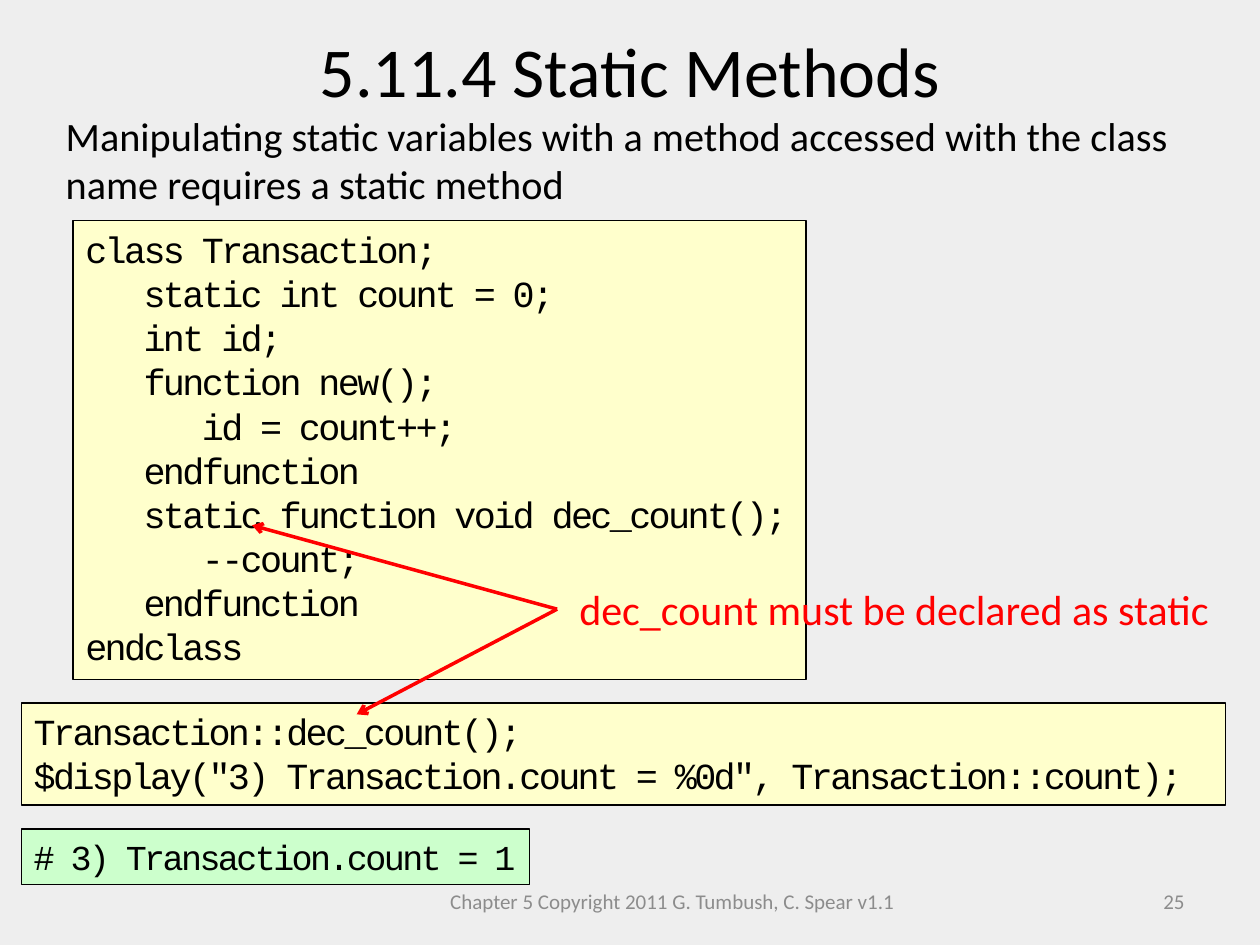
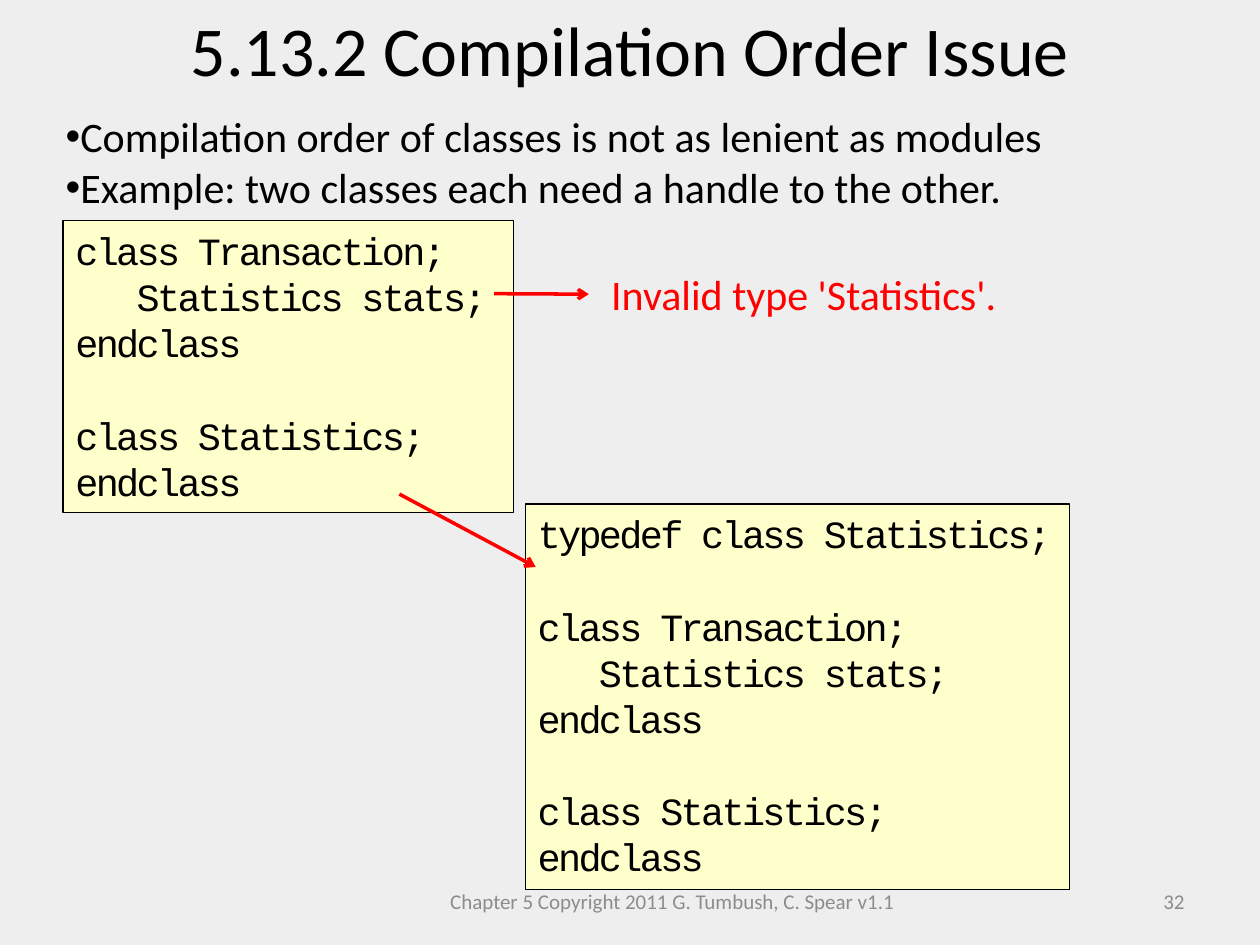
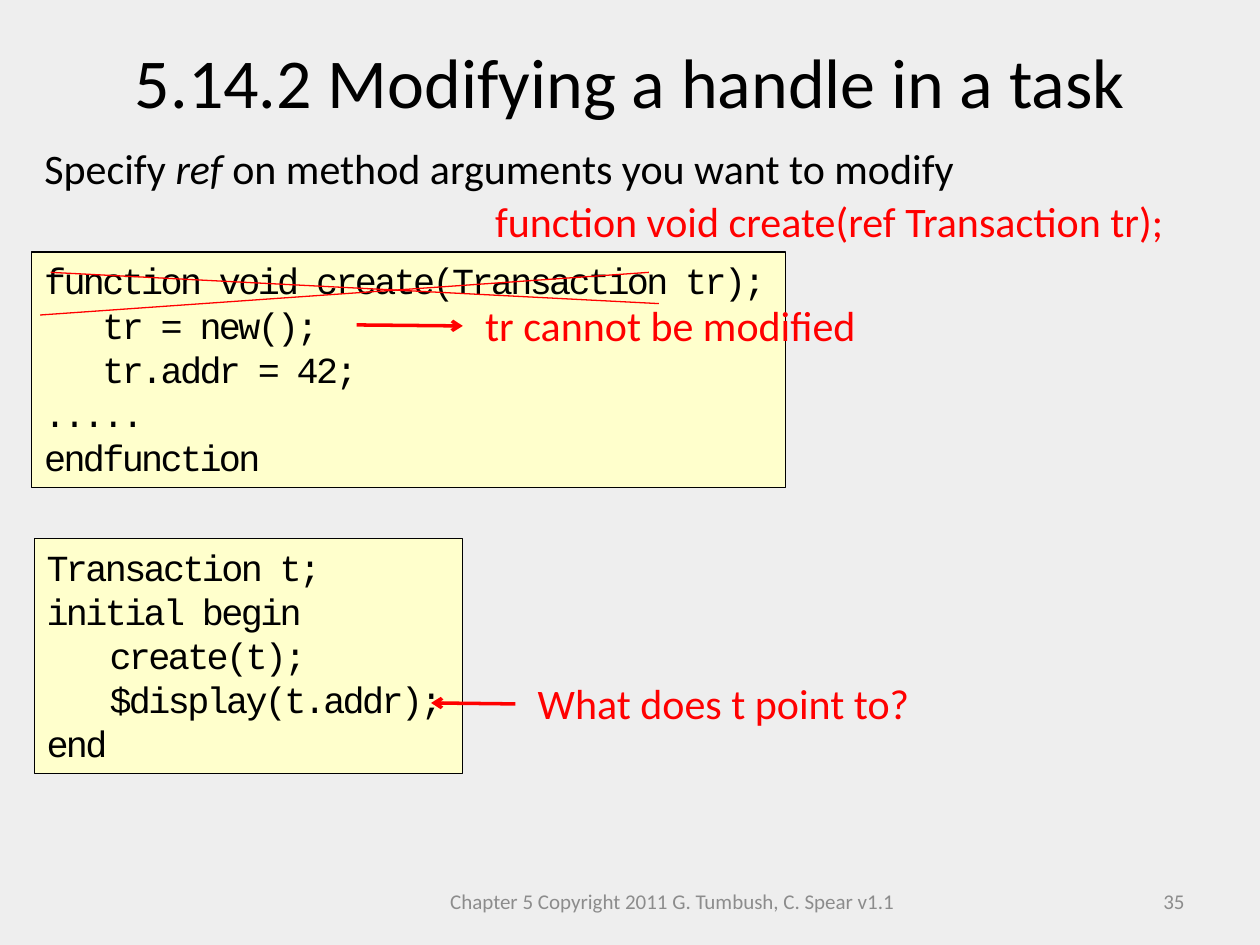
from lxml import etree
from pptx import Presentation
from pptx.dml.color import RGBColor
from pptx.enum.shapes import MSO_CONNECTOR, MSO_SHAPE
from pptx.enum.text import MSO_ANCHOR, MSO_AUTO_SIZE, PP_ALIGN
from pptx.oxml.ns import qn
from pptx.util import Cm, Pt

BACKGROUND = RGBColor(0xEE, 0xEE, 0xEE)
BLACK = RGBColor(0, 0, 0)
RED = RGBColor(0xFF, 0, 0)
GREY = RGBColor(0x8C, 0x8C, 0x8C)
CODE_YELLOW = RGBColor(0xFF, 0xFF, 0xCC)
OUTPUT_GREEN = RGBColor(0xCC, 0xFF, 0xCC)

TEXT_FONT = "Calibri"
CODE_FONT = "Courier New"
RECTANGLE = MSO_SHAPE.RECTANGLE
STRAIGHT = MSO_CONNECTOR.STRAIGHT
TOP, MIDDLE = MSO_ANCHOR.TOP, MSO_ANCHOR.MIDDLE
LEFT, CENTER, RIGHT = PP_ALIGN.LEFT, PP_ALIGN.CENTER, PP_ALIGN.RIGHT
NO_AUTOSIZE = MSO_AUTO_SIZE.NONE

TITLE_HEIGHT = 1.96
FOOTER_BOX = (8.69, 17.65, 9.73, 1.02)
NUMBER_BOX = (18.21, 17.65, 5.92, 1.02)
FOOTER_TEXT = "Chapter 5 Copyright 2011 G. Tumbush, C. Spear v1.1"

TRANSACTION_CLASS = """class Transaction;
   static int count = 0;
   int id;
   function new();
      id = count++;
   endfunction
   static function void dec_count();
      --count;
   endfunction
endclass"""

COUNT_CALLS = """Transaction::dec_count();
$display("3) Transaction.count = %0d", Transaction::count);"""

CLASS_PAIR = """class Transaction;
   Statistics stats;
endclass

class Statistics;
endclass"""

CREATE_FUNCTION = """function void create(Transaction tr);
   tr = new();
   tr.addr = 42;
.....
endfunction"""

CREATE_CALLER = """Transaction t;
initial begin
\tcreate(t);
\t$display(t.addr);
end"""


def to_cm(numbers):
    """Turn plain numbers into centimetre lengths."""
    return [Cm(number) for number in numbers]


def place(shape, box):
    """Move a placeholder to a box."""
    shape.left, shape.top, shape.width, shape.height = to_cm(box)


def style(para, size, color, name=TEXT_FONT, align=LEFT):
    """Format a whole paragraph."""
    para.alignment = align
    para.space_before = Pt(0)
    para.font.size = Pt(size)
    para.font.name = name
    para.font.color.rgb = color


def set_frame(frame, anchor=TOP, wrap=True):
    """Fix the anchor and wrapping of a text frame."""
    frame.auto_size = NO_AUTOSIZE
    frame.vertical_anchor = anchor
    frame.word_wrap = wrap


def add_text(page, box, text, size, color, align=LEFT, anchor=TOP, wrap=True):
    """Add a text box with one paragraph."""
    frame = page.shapes.add_textbox(*to_cm(box)).text_frame
    set_frame(frame, anchor, wrap)
    frame.text = text
    style(frame.paragraphs[0], size, color, align=align)


def add_body(body, box, lines, size, bullet):
    """Fill the body placeholder; text between asterisks is italic."""
    place(body, box)
    frame = body.text_frame
    set_frame(frame)
    for index, line in enumerate(lines):
        para = frame.paragraphs[0] if index == 0 else frame.add_paragraph()
        properties = para._p.get_or_add_pPr()
        properties.set("marL", "0")
        properties.set("indent", "0")
        if bullet:
            etree.SubElement(properties, qn("a:buFont"), typeface="Arial")
            etree.SubElement(properties, qn("a:buChar"), char="•")
        else:
            etree.SubElement(properties, qn("a:buNone"))
        for position, piece in enumerate(line.split("*")):
            span = para.add_run()
            span.text = piece
            if position % 2:
                span.font.italic = True
        style(para, size, BLACK)


def add_page(deck, number, title, title_top, body_box, lines, size=24, bullet=False):
    """Start a slide with its title, body text and footer."""
    page = deck.slides.add_slide(deck.slide_layouts[1])
    heading, body = page.placeholders
    place(heading, (0, title_top, 25.4, TITLE_HEIGHT))
    set_frame(heading.text_frame)
    heading.text_frame.text = title
    style(heading.text_frame.paragraphs[0], 40, BLACK, align=CENTER)
    add_body(body, body_box, lines, size, bullet)
    add_text(page, FOOTER_BOX, FOOTER_TEXT, 12, GREY, CENTER, MIDDLE)
    add_text(page, NUMBER_BOX, str(number), 12, GREY, RIGHT, MIDDLE)
    return page


def add_code(page, box, code, size=21, fill=CODE_YELLOW):
    """Add a framed listing; a leading tab indents its line."""
    panel = page.shapes.add_shape(RECTANGLE, *to_cm(box))
    panel.shadow.inherit = False
    panel.fill.solid()
    panel.fill.fore_color.rgb = fill
    panel.line.color.rgb = BLACK
    panel.line.width = Pt(0.75)
    frame = panel.text_frame
    set_frame(frame)
    for index, line in enumerate(code.split("\n")):
        para = frame.paragraphs[0] if index == 0 else frame.add_paragraph()
        para.text = line.lstrip("\t")
        properties = para._p.get_or_add_pPr()
        if line.startswith("\t"):
            properties.set("marL", str(Cm(1.27)))
            properties.set("indent", "0")
        style(para, size, BLACK, CODE_FONT)
        properties.find(qn("a:defRPr")).set("spc", "-150")


def add_line(page, start, end, width=2, arrow=True):
    """Draw a red line, with an arrowhead at its end if wanted."""
    line = page.shapes.add_connector(STRAIGHT, *to_cm(start + end))
    line.line.color.rgb = RED
    line.line.width = Pt(width)
    if arrow:
        etree.SubElement(line.line._get_or_add_ln(), qn("a:tailEnd"), type="arrow")
    etree.SubElement(line._element.spPr, qn("a:effectLst"))


def add_callout(page, box, text, code_points=(), toward_label=False):
    """Add a red remark and join its left side to points in the code."""
    add_text(page, box, text, 24, RED, wrap=False)
    label_point = (box[0] - 0.2, box[1] + 0.65)
    for point in code_points:
        if toward_label:
            add_line(page, point, label_point)
        else:
            add_line(page, label_point, point)


def cross_out_first_line(page, box):
    """Cross out the first line of the listing in a box."""
    left, top = box[:2]
    for start, end in [((0.38, 0.41), (12.64, 1.04)), ((0.17, 1.27), (12.44, 0.41))]:
        add_line(page, (left + start[0], top + start[1]),
                 (left + end[0], top + end[1]), 0.75, arrow=False)


def build_static_methods(deck):
    """Build the slide on static methods."""
    page = add_page(
        deck, 25, "5.11.4 Static Methods", 0.43, (1.07, 2.11, 24.33, 2.24),
        ["Manipulating static variables with a method accessed with the class "
         "name requires a static method"], size=23)
    add_code(page, (0.43, 16.71, 10.24, 1.12), "# 3) Transaction.count = 1", 20, OUTPUT_GREEN)
    add_code(page, (1.47, 4.45, 14.78, 9.25), TRANSACTION_CLASS)
    add_code(page, (0.43, 14.17, 24.28, 2.06), COUNT_CALLS)
    add_callout(page, (11.43, 11.63, 13.34, 1.27), "dec_count must be declared as static",
                [(7.19, 14.4), (5.08, 10.59)])


def build_compilation_order(deck):
    """Build the slide on compilation order."""
    page = add_page(
        deck, 32, "5.13.2 Compilation Order Issue", 0, (1.07, 2.11, 20.96, 2.31),
        ["Compilation order of classes is not as lenient as modules",
         "Example: two classes each need a handle to the other."], bullet=True)
    add_code(page, (10.59, 10.16, 10.97, 7.77),
             "typedef class Statistics;\n\n" + CLASS_PAIR, 22)
    add_code(page, (1.27, 4.45, 9.09, 5.89), CLASS_PAIR, 22)
    add_callout(page, (12.07, 5.28, 8.36, 1.27), "Invalid type 'Statistics'.",
                [(9.96, 5.92)], toward_label=True)
    add_line(page, (8.05, 9.96), (10.8, 11.43))


def build_handle_in_task(deck):
    """Build the slide on modifying a handle."""
    page = add_page(
        deck, 35, "5.14.2 Modifying a handle in a task", 0.64, (0.64, 2.74, 19.69, 1.27),
        ["Specify *ref* on method arguments you want to modify"])
    create_box = (0.64, 5.08, 15.19, 4.75)
    add_code(page, create_box, CREATE_FUNCTION)
    add_code(page, (0.69, 10.85, 8.64, 4.75), CREATE_CALLER)
    add_callout(page, (10.59, 13.54, 8.08, 1.27), "What does t point to?", [(8.69, 14.17)])
    add_callout(page, (9.53, 5.92, 9.32, 1.27), "tr cannot be modified",
                [(7.19, 6.55)], toward_label=True)
    add_callout(page, (9.73, 3.81, 14.12, 1.27), "function void create(ref Transaction tr);")
    cross_out_first_line(page, create_box)


def main():
    """Build and save the deck."""
    deck = Presentation()
    deck.slide_width, deck.slide_height = to_cm((25.4, 19.05))
    fill = deck.slide_master.background.fill
    fill.solid()
    fill.fore_color.rgb = BACKGROUND
    build_static_methods(deck)
    build_compilation_order(deck)
    build_handle_in_task(deck)
    deck.save("out.pptx")


if __name__ == "__main__":
    main()
